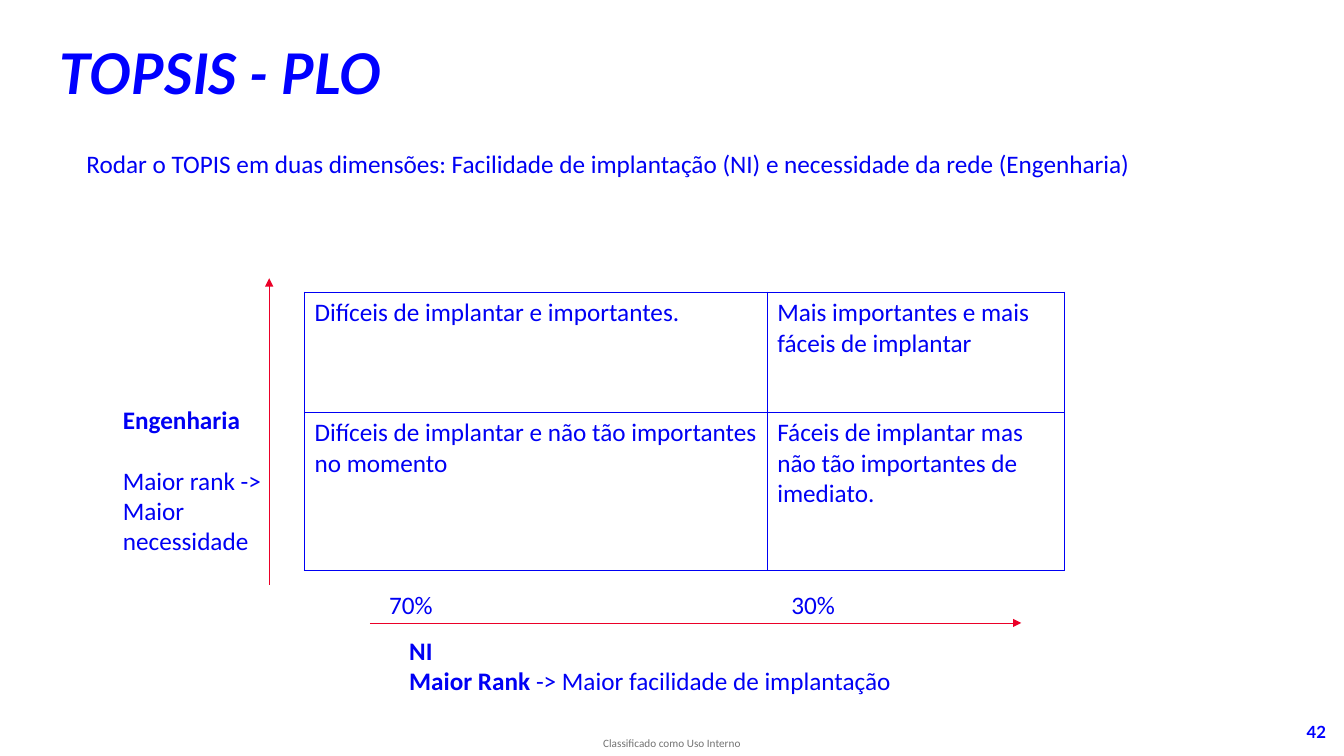
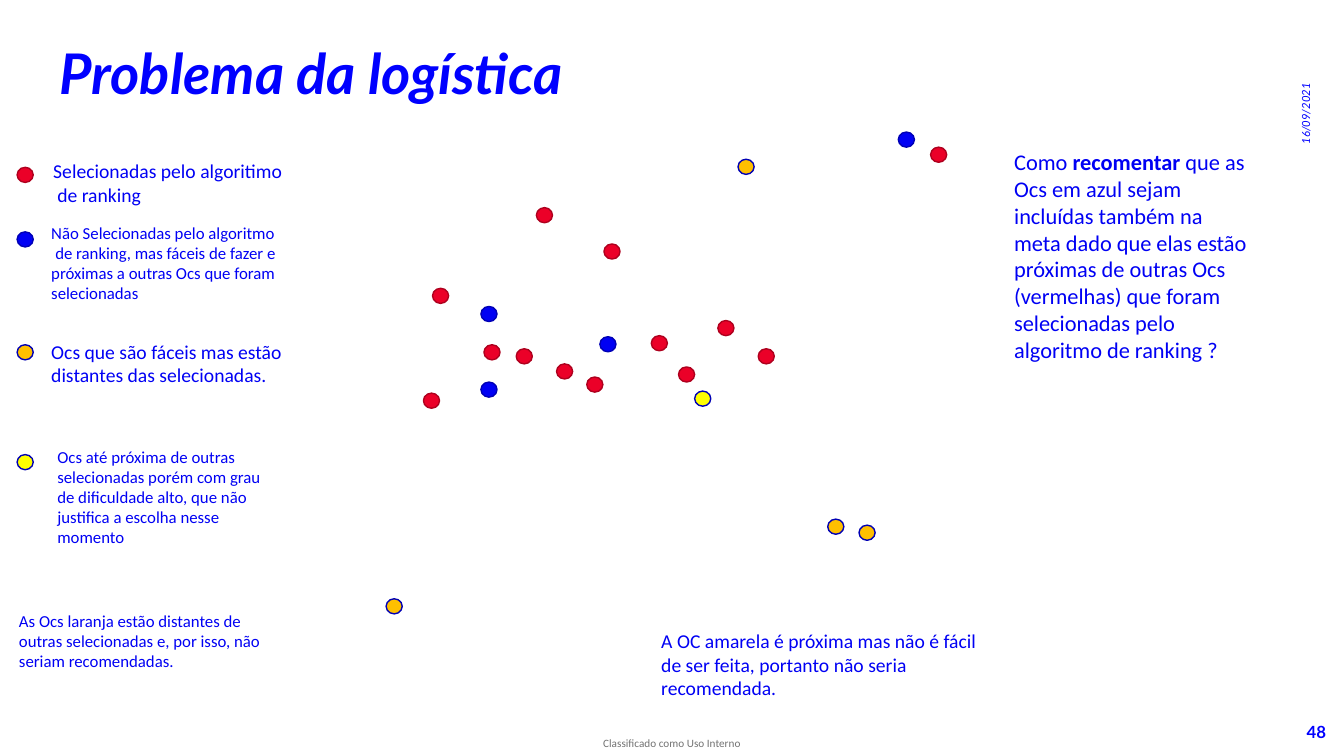
from lxml import etree
from pptx import Presentation
from pptx.dml.color import RGBColor
from pptx.enum.shapes import MSO_CONNECTOR, MSO_SHAPE
from pptx.enum.text import MSO_ANCHOR, MSO_AUTO_SIZE, PP_ALIGN
from pptx.oxml.ns import qn
from pptx.util import Inches, Pt

LEFT, CENTER, RIGHT = PP_ALIGN.LEFT, PP_ALIGN.CENTER, PP_ALIGN.RIGHT
TOP, MIDDLE = MSO_ANCHOR.TOP, MSO_ANCHOR.MIDDLE
TITLE_ONLY = 5
HEAD, BODY = "Lato", "Calibri"
HEX = {"title": "0000FF", "text": "0000F4", "foot": "737373", "arrow": "EB0028"}
DOTS = {  # kind: (fill, line)
    "red": ("EB0028", "AE001E"),
    "blue": ("0000F4", "0000B5"),
    "orange": ("FFC000", "0000B5"),
    "yellow": ("FFFF00", "0000B5"),
}
DOT_W, DOT_H = 0.16, 0.15
FOOT = "Classificado como Uso Interno"

# Text boxes: place (left, top, width, height), size, paragraphs.
# A paragraph is a list of (text, bold) runs.
MATRIX_TEXT = [
    ((0.76, 1.42, 10.6, 0.4), 18, [[("Rodar o TOPIS em duas dimensões: Facilidade de implantação (NI) "
                                     "e necessidade da rede (Engenharia)", False)]]),
    ((3.96, 6.25, 5.35, 1.01), 18, [[("NI", True)],
                                    [("Maior Rank ", True), ("-> Maior facilidade de implantação", False)]]),
    ((3.76, 5.8, 0.91, 0.4), 18, [[("70%", False)]]),
    ((7.75, 5.8, 0.91, 0.4), 18, [[("30%", False)]]),
]
AXIS = ((1.12, 3.96, 1.65, 1.92), 18, [[("Engenharia", True)], [("Maior rank -> Maior necessidade", False)]])
CELLS = [
    ["Difíceis de implantar e importantes.", "Mais importantes e mais fáceis de implantar"],
    ["Difíceis de implantar e não tão importantes no momento",
     "Fáceis de implantar mas não tão importantes de imediato."],
]
COLS, ROWS = (4.59, 2.95), (1.19, 1.57)
ARROWS = [(2.67, 5.8, 2.67, 2.76), (3.67, 6.18, 10.13, 6.18)]

# Legend: kind, dot top, text place, size, paragraphs
LEGEND = [
    ("red", 1.66, (0.43, 1.53, 2.6, 0.57), 14, ["Selecionadas pelo algoritimo", "de ranking"]),
    ("blue", 2.3, (0.41, 2.16, 2.56, 0.91), 12,
     ["Não Selecionadas pelo algoritmo",
      "de ranking, mas fáceis de fazer e próximas a outras Ocs que foram selecionadas"]),
    ("orange", 3.42, (0.41, 3.32, 2.7, 0.57), 14, ["Ocs que são fáceis mas estão distantes das selecionadas."]),
    ("yellow", 4.51, (0.47, 4.38, 2.22, 1.11), 12,
     ["Ocs até próxima de outras selecionadas porém com grau de dificuldade alto, "
      "que não justifica a escolha nesse momento"]),
]
POINTS = {
    "red": [(4.8, 3.42), (5.52, 3.61), (4.2, 3.9), (4.29, 2.86), (6.46, 3.33), (5.99, 2.42), (5.82, 3.74),
            (5.32, 2.06), (5.12, 3.46), (7.52, 3.46), (6.73, 3.64), (7.12, 3.18), (9.23, 1.46)],
    "blue": [(4.77, 3.04), (5.95, 3.34), (4.77, 3.79), (8.91, 1.31)],
    "orange": [(8.21, 5.15), (3.83, 5.94), (8.52, 5.21), (7.32, 1.58)],
    "yellow": [(6.89, 3.88)],
}
MAP_TEXT = [
    ((9.96, 1.42, 2.51, 2.52), 16, [[
        ("Como ", False), ("recomentar", True),
        (" que as Ocs em azul sejam incluídas também na meta dado que elas estão próximas de outras Ocs "
         "(vermelhas) que foram selecionadas pelo algoritmo de ranking ?", False)]]),
    ((0.09, 6.01, 2.83, 0.71), 12, [[("As Ocs laranja estão distantes de outras selecionadas e, por isso, "
                                      "não seriam recomendadas.", False)]]),
    ((6.46, 6.19, 3.52, 0.81), 14, [[("A OC amarela é próxima mas não é fácil de ser feita, "
                                      "portanto não seria recomendada.", False)]]),
]


def rgb(code):
    return RGBColor.from_string(code)


def inches(vals):
    return [Inches(v) for v in vals]


def style(font, size, color=HEX["text"], face=BODY, bold=False, italic=False):
    font.size, font.name = Pt(size), face
    font.bold, font.italic = bold, italic
    font.color.rgb = rgb(color)


def add_text(slide, place, size, paras, align=LEFT, **look):
    box = slide.shapes.add_textbox(*inches(place))
    frame = box.text_frame
    frame.word_wrap = True
    for i, runs in enumerate(paras):
        para = frame.paragraphs[0] if i == 0 else frame.add_paragraph()
        para.alignment = align
        for text, bold in runs:
            run = para.add_run()
            run.text = text
            style(run.font, size, bold=bold, **look)
    return box


def add_page(deck, title, width, number):
    """Add a slide with the shared title, footer and page number."""
    slide = deck.slides.add_slide(deck.slide_layouts[TITLE_ONLY])
    head = slide.shapes.title
    head.left, head.top, head.width, head.height = inches((0.49, 0.41, width, 0.72))
    frame = head.text_frame
    frame.text = title
    frame.auto_size = MSO_AUTO_SIZE.NONE
    frame.vertical_anchor = TOP
    para = frame.paragraphs[0]
    para.alignment, para.line_spacing = LEFT, 0.9
    style(para.runs[0].font, 40, HEX["title"], HEAD, True, True)

    foot = add_text(slide, (5.84, 7.25, 1.65, 0.25), 8, [[(FOOT, False)]], CENTER, color=HEX["foot"]).text_frame
    foot.margin_left = foot.margin_right = foot.margin_top = foot.margin_bottom = 0
    foot.vertical_anchor = MIDDLE
    add_text(slide, (12.67, 7.11, 0.58, 0.29), 12, [[(number, True)]], RIGHT, color=HEX["title"], face=HEAD)
    return slide


def add_arrow(slide, ends):
    line = slide.shapes.add_connector(MSO_CONNECTOR.STRAIGHT, *inches(ends))
    line.line.color.rgb = rgb(HEX["arrow"])
    line.line.width = Pt(0.5)
    etree.SubElement(line.line._get_or_add_ln(), qn("a:tailEnd"), type="triangle")
    etree.SubElement(line._element.spPr, qn("a:effectLst"))


def add_borders(cell):
    props = cell._tc.get_or_add_tcPr()
    for i, side in enumerate(("lnL", "lnR", "lnT", "lnB")):
        edge = etree.Element(qn("a:" + side), w=str(Pt(1)))
        fill = etree.SubElement(edge, qn("a:solidFill"))
        etree.SubElement(fill, qn("a:srgbClr"), val=HEX["text"])
        props.insert(i, edge)


def add_matrix(slide):
    place = inches((3.02, 2.9, sum(COLS), sum(ROWS)))
    table = slide.shapes.add_table(len(ROWS), len(COLS), *place).table
    table.first_row = table.horz_banding = False
    for col, width in zip(table.columns, COLS):
        col.width = Inches(width)
    for row, height, texts in zip(table.rows, ROWS, CELLS):
        row.height = Inches(height)
        for cell, text in zip(row.cells, texts):
            cell.text = text
            style(cell.text_frame.paragraphs[0].runs[0].font, 18)
            cell.fill.background()
            add_borders(cell)


def add_dot(slide, kind, left, top):
    dot = slide.shapes.add_shape(MSO_SHAPE.OVAL, *inches((left, top, DOT_W, DOT_H)))
    fill, line = DOTS[kind]
    dot.shadow.inherit = False
    dot.fill.solid()
    dot.fill.fore_color.rgb = rgb(fill)
    dot.line.color.rgb = rgb(line)
    dot.line.width = Pt(1)


def build_matrix(deck):
    slide = add_page(deck, "TOPSIS - PLO", 7.58, "42")
    for item in MATRIX_TEXT:
        add_text(slide, *item)
    axis = add_text(slide, *AXIS)
    axis.text_frame.paragraphs[1].space_before = Pt(22)
    add_matrix(slide)
    for ends in ARROWS:
        add_arrow(slide, ends)


def build_map(deck):
    slide = add_page(deck, "Problema da logística", 9.67, "48")
    date = add_text(slide, (12.42, 0.84, 1.12, 0.26), 8, [[("16/09/2021", False)]],
                    color=HEX["title"], face=HEAD, italic=True)
    date.rotation = 270
    date.text_frame.paragraphs[0].line_spacing = 0.9
    for kind, spots in POINTS.items():
        for left, top in spots:
            add_dot(slide, kind, left, top)
    for kind, top, place, size, lines in LEGEND:
        add_dot(slide, kind, 0.17, top)
        box = add_text(slide, place, size, [[(text, False)] for text in lines])
        for para in box.text_frame.paragraphs[1:]:
            para._p.get_or_add_pPr().set("indent", str(Inches(0.04)))
    for item in MAP_TEXT:
        add_text(slide, *item)


def main():
    deck = Presentation()
    deck.slide_width, deck.slide_height = Inches(13.33), Inches(7.5)
    build_matrix(deck)
    build_map(deck)
    deck.save("out.pptx")


if __name__ == "__main__":
    main()
